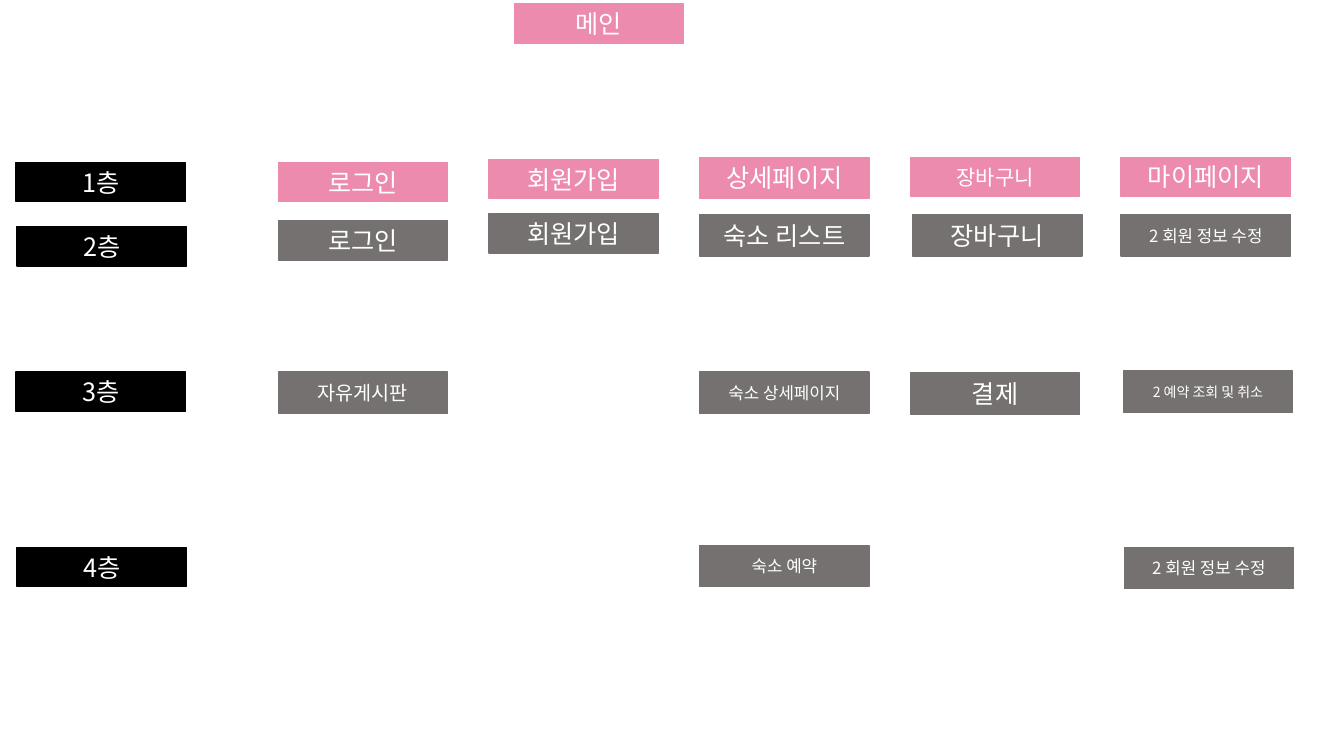
from lxml import etree
from pptx import Presentation
from pptx import util as u
from pptx.dml.color import RGBColor
from pptx.enum import shapes, text
from pptx.oxml import ns

PX = 9144
FONT = "Noto Sans CJK KR"
PINK, GREY, BLACK, WHITE = "ED8BAF", "767171", "000000", "FFFFFF"
WIDE, LOW, TALL = 168, 39, 41
LEFT, STEP = 276, 209

FLOORS = [("1층", 16, 161), ("2층", 17, 225), ("3층", 16, 369), ("4층", 17, 543)]

MENUS = [
    [("로그인", 0, 161, LOW, 18, PINK),
     ("로그인", 0, 219, LOW, 18, GREY),
     ("자유게시판", 0, 369, TALL, 14, GREY)],
    [("회원가입", 0, 158, LOW, 18, PINK),
     ("회원가입", 0, 212, LOW, 18, GREY)],
    [("상세페이지", 0, 156, TALL, 18, PINK),
     ("숙소 리스트", 0, 213, TALL, 18, GREY),
     ("숙소 상세페이지", 0, 369, TALL, 12, GREY),
     ("숙소 예약", 0, 541, TALL, 12, GREY)],
    [("장바구니", 0, 156, LOW, 15, PINK),
     ("장바구니", 2, 213, TALL, 18, GREY),
     ("결제", 0, 370, TALL, 18, GREY)],
    [("마이페이지", 0, 156, LOW, 18, PINK),
     ("2 회원 정보 수정", 0, 213, TALL, 12, GREY),
     ("2 예약 조회 및 취소", 2, 368, TALL, 10, GREY),
     ("2 회원 정보 수정", 3, 543, TALL, 12, GREY)],
]


def tint(code):
    return RGBColor.from_string(code)


def block(slide, label, x, y, high, size, fill):
    box = slide.shapes.add_shape(
        shapes.MSO_SHAPE.RECTANGLE, x * PX, y * PX, WIDE * PX, high * PX)
    box.shadow.inherit = False
    box.fill.solid()
    box.fill.fore_color.rgb = tint(fill)
    box.line.color.rgb = tint(fill)
    box.line.width = u.Pt(1)
    frame = box.text_frame
    frame.text = label
    frame.word_wrap = True
    frame.vertical_anchor = text.MSO_ANCHOR.MIDDLE
    para = frame.paragraphs[0]
    para.alignment = text.PP_ALIGN.CENTER
    font = para.runs[0].font
    font.size = u.Pt(size)
    font.name = FONT
    font.color.rgb = tint(WHITE)
    props = para.runs[0].font._element
    etree.SubElement(props, ns.qn("a:ea")).set("typeface", FONT)


def floors(slide):
    for label, x, y in FLOORS:
        block(slide, label, x, y, LOW, 18, BLACK)


def menu(slide, left, items):
    for label, shift, y, high, size, fill in items:
        block(slide, label, left + shift, y, high, size, fill)


def main():
    deck = Presentation()
    deck.slide_width = 1333 * PX
    deck.slide_height = 750 * PX
    slide = deck.slides.add_slide(deck.slide_layouts[6])
    block(slide, "메인", 510, 4, LOW, 18, PINK)
    floors(slide)
    for col, items in enumerate(MENUS):
        menu(slide, LEFT + col * STEP, items)
    deck.save("out.pptx")


if __name__ == "__main__":
    main()
